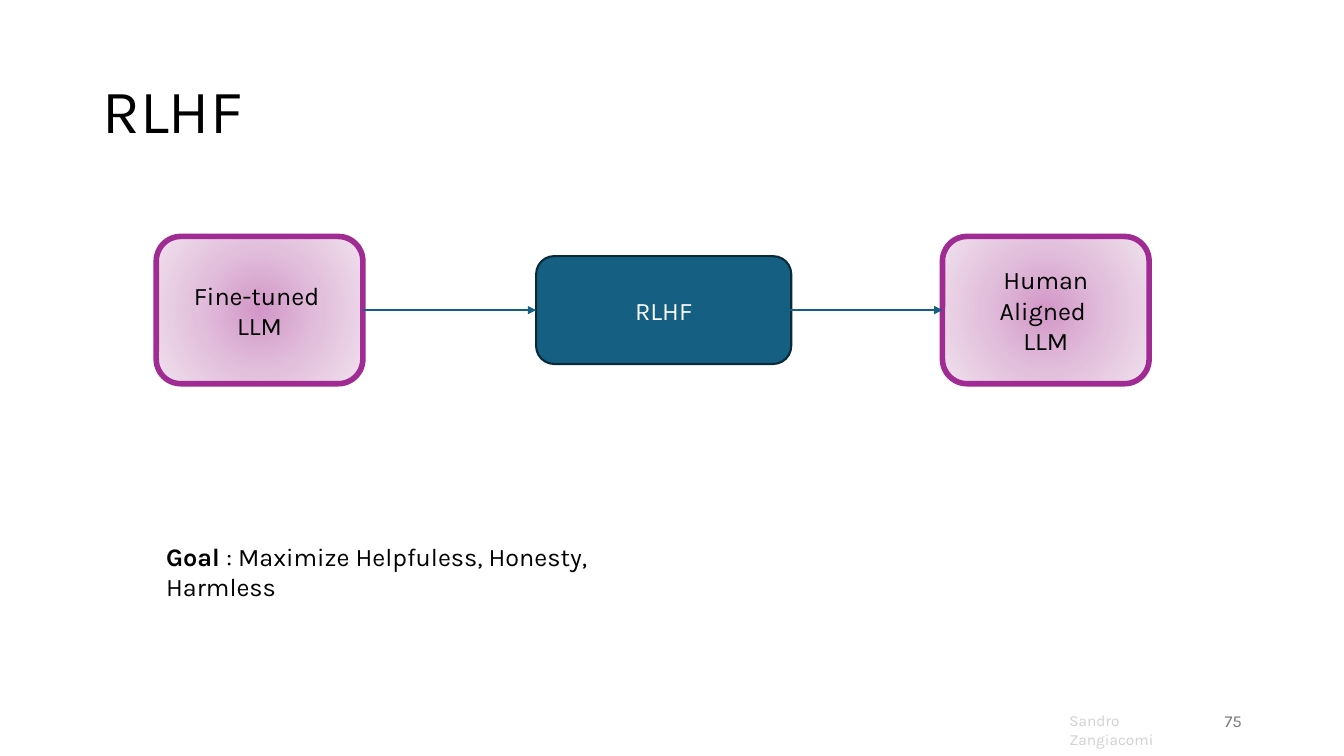
"""Build the RLHF slide: a fine-tuned model turned into a human-aligned one."""
from dataclasses import dataclass

from pptx import Presentation
from pptx.dml.color import RGBColor
from pptx.enum.shapes import MSO_CONNECTOR as Link, MSO_SHAPE as Preset
from pptx.enum.text import MSO_ANCHOR as Anchor, MSO_AUTO_SIZE as AutoSize, PP_ALIGN as Align
from pptx.oxml import parse_xml
from pptx.oxml.ns import nsdecls, qn
from pptx.shapes.autoshape import Shape
from pptx.shapes.connector import Connector
from pptx.slide import Slide
from pptx.text.text import Font
from pptx.util import Pt

FLOW_MIDDLE = 221.5
PURPLE_GLOW = ((0, "D297C8"), (50, "E2C0DC"), (100, "F0E1ED"))


@dataclass(frozen=True)
class Stage:
    text: str
    left: float
    width: float
    height: float
    fill: str | None
    line: str
    line_width: float
    ink: str


@dataclass(frozen=True)
class Note:
    runs: tuple[tuple[str, bool], ...]
    left: float
    top: float
    width: float
    height: float
    size: float
    ink: str
    align: Align = Align.LEFT
    anchor: Anchor = Anchor.TOP


STAGES = (
    Stage("Fine-tuned \vLLM", 111.6, 147.6, 105.2, None, "A02B93", 4, "000000"),
    Stage("RLHF", 383, 182.2, 77, "156082", "092A39", 1.5, "FFFFFF"),
    Stage("Human Aligned \vLLM", 673.2, 147.6, 105.2, None, "A02B93", 4, "000000"),
)
NOTES = (
    Note((("Sandro Zangiacomi", False),), 756.7, 504.7, 107.3, 20.9, 11, "D1D1D1"),
    Note((("Goal ", True), (": Maximize Helpfuless, Honesty, Harmless", False)),
         111.6, 383, 385.2, 28.8, 18, "000000"),
    Note((("75", False),), 678.2, 500.4, 216, 28.8, 12, "797979", Align.RIGHT, Anchor.MIDDLE),
)


def color(value: str) -> RGBColor:
    return RGBColor.from_string(value)


def style(font: Font, size: float, ink: str) -> None:
    font.name = "Karla"
    font.size = Pt(size)
    font.color.rgb = color(ink)


def glow(shape: Shape) -> None:
    stops = "".join(f'<a:gs pos="{at * 1000}"><a:srgbClr val="{tint}"/></a:gs>'
                    for at, tint in PURPLE_GLOW)
    shape.fill.solid()
    properties = shape.element.spPr
    properties.replace(properties.find(qn("a:solidFill")), parse_xml(
        f'<a:gradFill {nsdecls("a")} rotWithShape="1"><a:gsLst>{stops}</a:gsLst>'
        '<a:path path="circle"><a:fillToRect l="50000" t="50000" r="50000" b="50000"/>'
        '</a:path></a:gradFill>'))


def add_stage(slide: Slide, stage: Stage) -> Shape:
    box = slide.shapes.add_shape(
        Preset.ROUNDED_RECTANGLE, Pt(stage.left), Pt(FLOW_MIDDLE - stage.height / 2),
        Pt(stage.width), Pt(stage.height))
    box.shadow.inherit = False
    if stage.fill:
        box.fill.solid()
        box.fill.fore_color.rgb = color(stage.fill)
    else:
        glow(box)
    box.line.color.rgb = color(stage.line)
    box.line.width = Pt(stage.line_width)
    box.text_frame.word_wrap = True
    box.text_frame.vertical_anchor = Anchor.MIDDLE
    label = box.text_frame.paragraphs[0]
    label.text = stage.text
    label.alignment = Align.CENTER
    style(label.font, 18, stage.ink)
    return box


def add_arrow(slide: Slide, start: float, target: Shape) -> Connector:
    arrow = slide.shapes.add_connector(
        Link.STRAIGHT, Pt(start), Pt(FLOW_MIDDLE), target.left, Pt(FLOW_MIDDLE))
    arrow.end_connect(target, 1)
    arrow.line.color.rgb = color("156082")
    arrow.line.width = Pt(1.5)
    arrow.line._get_or_add_ln().append(parse_xml(f'<a:tailEnd {nsdecls("a")} type="triangle"/>'))
    arrow.element.spPr.append(parse_xml(f'<a:effectLst {nsdecls("a")}/>'))
    return arrow


def add_note(slide: Slide, note: Note) -> None:
    frame = slide.shapes.add_textbox(
        Pt(note.left), Pt(note.top), Pt(note.width), Pt(note.height)).text_frame
    frame.word_wrap = True
    frame.vertical_anchor = note.anchor
    paragraph = frame.paragraphs[0]
    paragraph.alignment = note.align
    style(paragraph.font, note.size, note.ink)
    for text, bold in note.runs:
        run = paragraph.add_run()
        run.text = text
        run.font.bold = bold


def add_heading(slide: Slide, text: str) -> None:
    heading = slide.shapes.title
    heading.left, heading.top = Pt(66), Pt(28.8)
    heading.width, heading.height = Pt(462.2), Pt(104.4)
    frame = heading.text_frame
    frame.auto_size = AutoSize.NONE
    frame.vertical_anchor = Anchor.MIDDLE
    paragraph = frame.paragraphs[0]
    paragraph.text = text
    paragraph.alignment = Align.LEFT
    paragraph.line_spacing = 0.9
    style(paragraph.font, 44, "000000")


def main() -> None:
    deck = Presentation()
    deck.slide_width, deck.slide_height = Pt(960), Pt(540)
    slide = deck.slides.add_slide(deck.slide_layouts[5])
    add_heading(slide, "RLHF")
    fine_tuned, rlhf, aligned = [add_stage(slide, stage) for stage in STAGES]
    into_rlhf = add_arrow(slide, 259.2, rlhf)
    into_rlhf.begin_connect(fine_tuned, 3)
    add_arrow(slide, 550, aligned)
    for note in NOTES:
        add_note(slide, note)
    deck.save("out.pptx")


if __name__ == "__main__":
    main()
